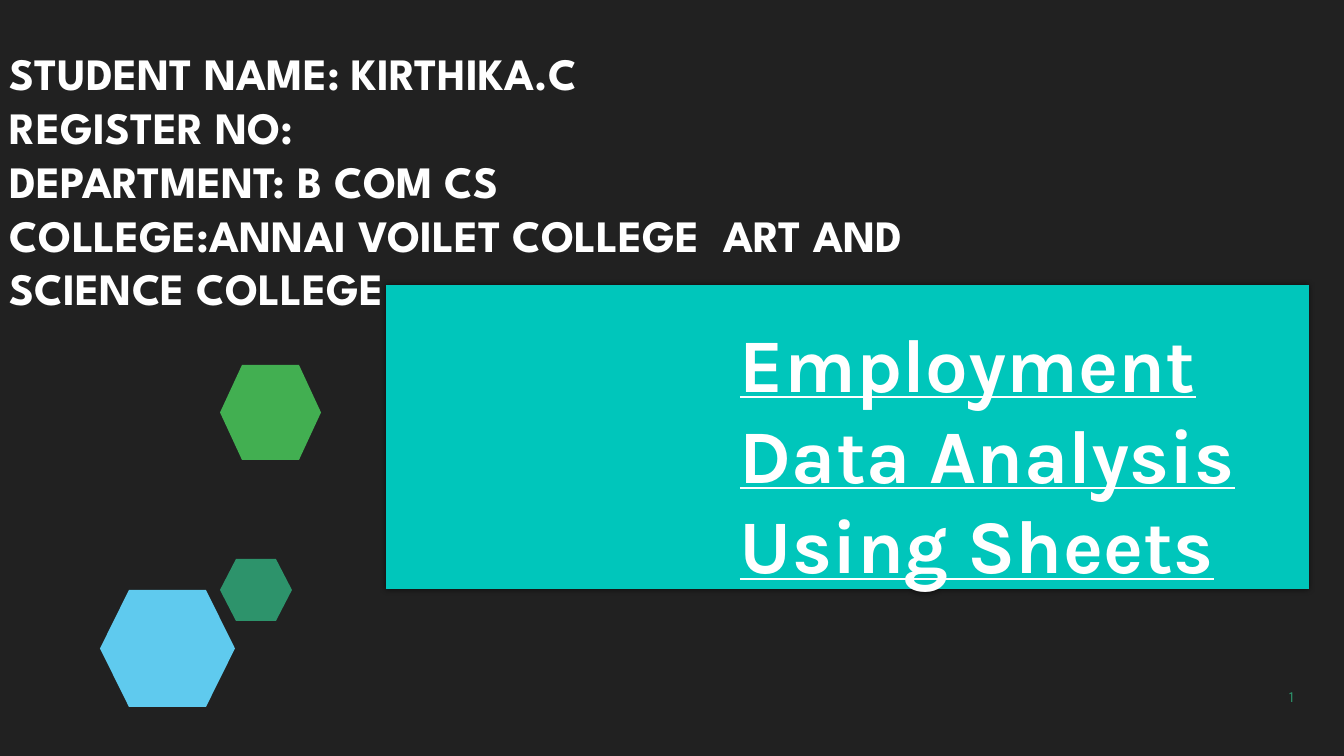
from lxml import etree
from pptx import Presentation
from pptx.dml.color import RGBColor
from pptx.enum.shapes import MSO_SHAPE as Shape
from pptx.enum.text import MSO_ANCHOR as Anchor, MSO_AUTO_SIZE as AutoSize, PP_ALIGN as Align
from pptx.oxml.ns import qn
from pptx.util import Emu, Pt

EMU_PER_PX = 914400 / 100.8
WHITE, TEAL, DARK, SEA_GREEN = "FFFFFF", "00C6BB", "212121", "2D936B"
STUDENT_LINES = [
    "STUDENT NAME: KIRTHIKA.C",
    "REGISTER NO:",
    "DEPARTMENT: B COM CS",
    "COLLEGE:ANNAI VOILET COLLEGE  ART AND SCIENCE COLLEGE",
]
# left, top, width, height, corner inset, colour
HEXAGONS = [
    (100, 590, 135, 117, 29, "5FCAEE"),
    (220, 559, 72, 62, 16, SEA_GREEN),
    (220, 365, 101, 95, 22, "42AF51"),
]


def px(length):
    return Emu(round(length * EMU_PER_PX))


def paint(fill, colour):
    fill.solid()
    fill.fore_color.rgb = RGBColor.from_string(colour)


def place(shape, box):
    shape.left, shape.top, shape.width, shape.height = map(px, box)


def set_frame(frame, anchor, margins):
    """Wrap the text and set its anchor and left, top, right, bottom margins."""
    frame.word_wrap = True
    frame.auto_size = AutoSize.NONE
    frame.vertical_anchor = anchor
    (frame.margin_left, frame.margin_top,
     frame.margin_right, frame.margin_bottom) = map(px, margins)


def style(para, font, size, colour, bold=False, spacing=0):
    """Format every run; spacing is in hundredths of a point."""
    for span in para.runs:
        span.font.name = font
        span.font.size = Pt(size)
        span.font.bold = bold
        span.font.color.rgb = RGBColor.from_string(colour)
        if spacing:
            span.font._element.set("spc", str(spacing))


def add_soft_shadow(shape):
    shape.shadow.inherit = False
    effects = shape._element.spPr.find(qn("a:effectLst"))
    shadow = etree.SubElement(effects, qn("a:outerShdw"), blurRad=str(Pt(4)),
                              dist="0", dir=str(240 * 60000))
    tint = etree.SubElement(shadow, qn("a:srgbClr"), val="000000")
    etree.SubElement(tint, qn("a:alpha"), val="60000")


def add_hexagon(page, box, inset, colour):
    hexagon = page.shapes.add_shape(Shape.HEXAGON, *map(px, box))
    hexagon.adjustments[0] = inset / min(box[2:])
    hexagon.shadow.inherit = False
    paint(hexagon.fill, colour)
    hexagon.line.fill.background()


def format_title(page, box):
    title = page.shapes.title
    place(title, box)
    paint(title.fill, TEAL)
    title.line.fill.background()
    add_soft_shadow(title)
    frame = title.text_frame
    frame.text = "Employment Data Analysis Using Sheets"
    set_frame(frame, Anchor.BOTTOM, (0, 2, 0, 0))
    para = frame.paragraphs[0]
    para.alignment = Align.LEFT
    para.space_before = Pt(1.3)
    para._p.get_or_add_pPr().set("marL", str(px(354)))
    style(para, "Karla", 54, WHITE, bold=True, spacing=10)
    para.runs[0].font.underline = True


def add_student_details(page, box):
    frame = page.shapes.add_textbox(*map(px, box)).text_frame
    frame.text = "\n".join(STUDENT_LINES)
    set_frame(frame, Anchor.TOP, (10, 5, 10, 5))
    for para in frame.paragraphs:
        style(para, "League Spartan", 32, WHITE, bold=True)


def add_page_number(page, box):
    frame = page.shapes.add_textbox(*map(px, box)).text_frame
    frame.text = "1"
    set_frame(frame, Anchor.BOTTOM, (0, 1, 0, 0))
    para = frame.paragraphs[0]
    para.alignment = Align.RIGHT
    para.space_before = Pt(0.6)
    style(para, "Karla", 11, SEA_GREEN, spacing=10)


def build_cover(deck):
    page = deck.slides.add_slide(deck.slide_layouts[5])
    paint(page.background.fill, DARK)
    for *box, inset, colour in HEXAGONS:
        add_hexagon(page, box, inset, colour)
    format_title(page, (386, 285, 923, 304))
    add_page_number(page, (1177, 684, 117, 22))
    add_student_details(page, (0, 41, 1033, 371))


def main():
    deck = Presentation()
    deck.slide_width, deck.slide_height = px(1344), px(756)
    build_cover(deck)
    deck.save("out.pptx")


if __name__ == "__main__":
    main()
